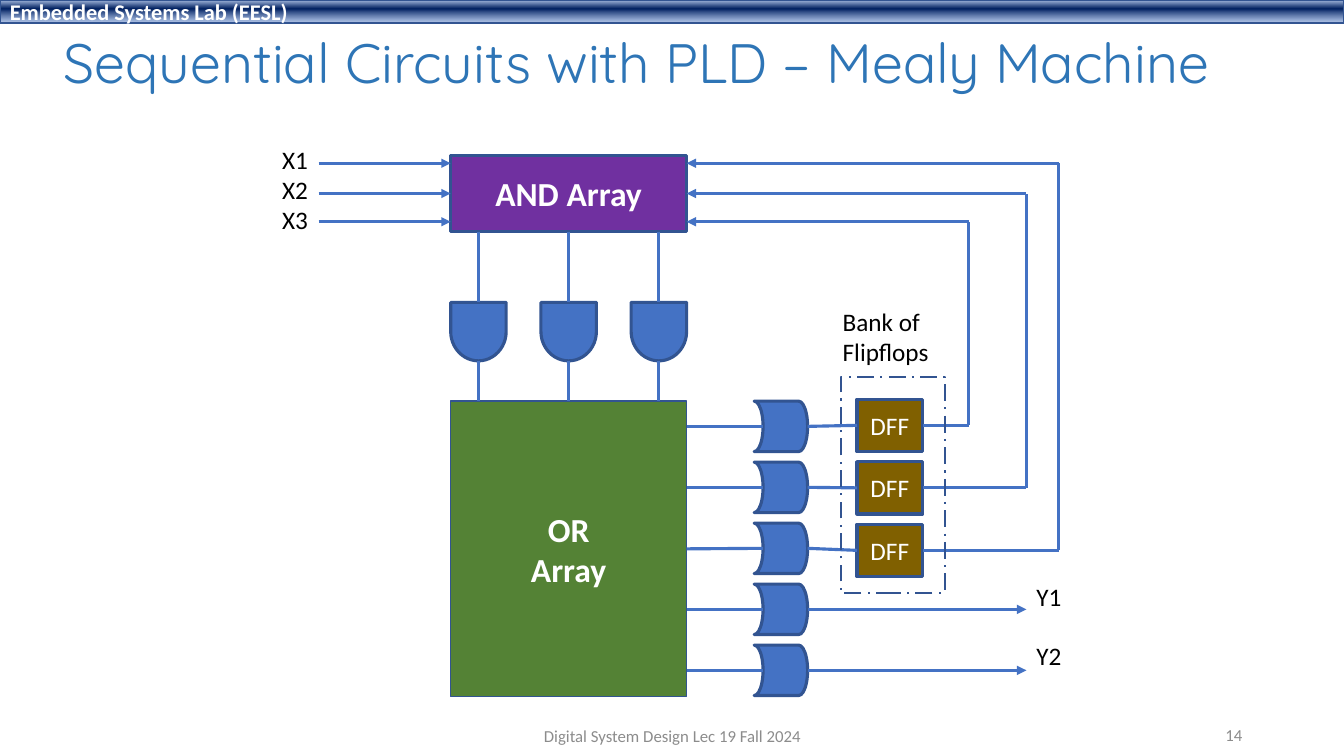
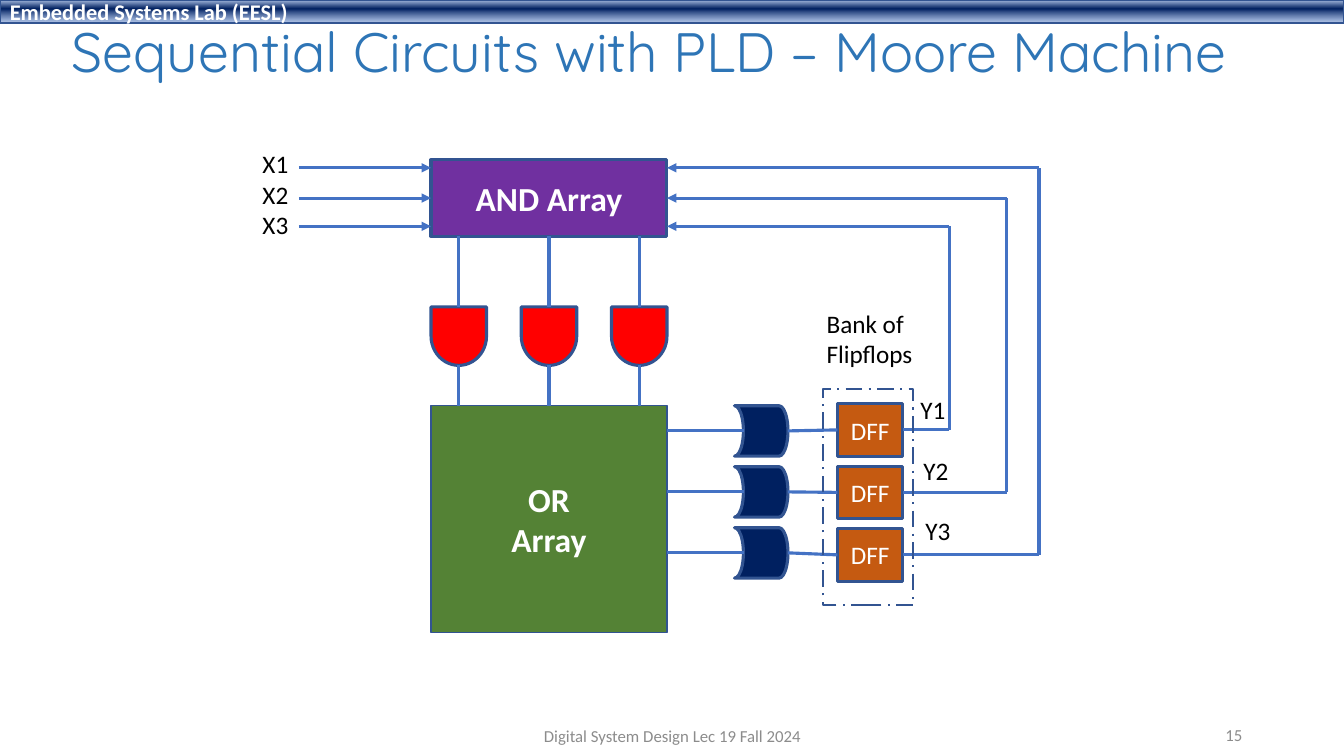
from lxml.etree import SubElement
from pptx import Presentation
from pptx.dml.color import RGBColor
from pptx.enum.dml import MSO_LINE
from pptx.enum.shapes import MSO_CONNECTOR, MSO_SHAPE
from pptx.enum.text import MSO_ANCHOR, MSO_AUTO_SIZE, PP_ALIGN
from pptx.oxml.ns import qn
from pptx.util import Inches, Pt

CELL = Inches(0.1)
SNAP = 0.3
COLORS = {
    "title": "2E75B6", "footer": "8C8C8C", "text": "000000", "white": "FFFFFF",
    "edge": "325491", "wire": "4472C4", "and": "7030A0", "or": "548235",
    "blue": "4472C4", "red": "FF0000", "navy": "002060",
    "olive": "806000", "orange": "C55A11",
}
BAND_STOPS = [(2, "ABC0E4", 100), (38, "002060", 100), (93, "7E9ED6", 64)]


def rgb(name):
    return RGBColor.from_string(COLORS[name])


class Deck:
    def __init__(self):
        self.prs = Presentation()
        self.prs.slide_width = Inches(13.33)
        self.prs.slide_height = Inches(7.5)
        self.layout = self.prs.slide_layouts[5]
        self.has_band = False

    def start(self, title, title_box, number, shift):
        self.s = self.prs.slides.add_slide(self.layout)
        self.shift = (0, 0)
        self.joints = []
        if not self.has_band:
            self.band("Embedded Systems Lab (EESL)")
        sp = self.s.shapes.title
        sp.left, sp.top, sp.width, sp.height = self.place(title_box)
        self.set_text(sp, title, 39.6, "title", font="Quicksand", wrap=True)
        sp.text_frame.paragraphs[0].line_spacing = 0.9
        self.label("Digital System Design Lec 19 Fall 2024", (44.2, 71, 45, 4),
                   12, "footer", PP_ALIGN.CENTER, MSO_ANCHOR.MIDDLE)
        self.label(str(number), (94.2, 70.9, 30, 4),
                   12, "footer", PP_ALIGN.RIGHT, MSO_ANCHOR.MIDDLE)
        self.shift = shift

    def point(self, col, row):
        return (round((col + self.shift[0]) * CELL),
                round((row + self.shift[1]) * CELL))

    def place(self, box):
        col, row, cols, rows = box
        return (*self.point(col, row), round(cols * CELL), round(rows * CELL))

    def set_text(self, sp, text, size, color, align=PP_ALIGN.LEFT,
                 anchor=MSO_ANCHOR.MIDDLE, bold=False, font="Calibri", wrap=False):
        tf = sp.text_frame
        tf.text = text
        tf.word_wrap = wrap
        tf.auto_size = MSO_AUTO_SIZE.NONE
        tf.vertical_anchor = anchor
        for p in tf.paragraphs:
            p.alignment = align
            for r in p.runs:
                r.font.name = font
                r.font.size = Pt(size)
                r.font.bold = bold
                r.font.color.rgb = rgb(color)

    def label(self, text, box, size=18, color="text", align=PP_ALIGN.LEFT,
              anchor=MSO_ANCHOR.TOP):
        sp = self.s.shapes.add_textbox(*self.place(box))
        self.set_text(sp, text, size, color, align, anchor, wrap=size < 18)

    def shape(self, kind, box, fill=None, width=2.25, rotation=0):
        sp = self.s.shapes.add_shape(kind, *self.place(box))
        sp.shadow.inherit = False
        sp.rotation = rotation
        if fill:
            sp.fill.solid()
            sp.fill.fore_color.rgb = rgb(fill)
        else:
            sp.fill.background()
        sp.line.color.rgb = rgb("edge")
        sp.line.width = Pt(width)
        return sp

    def band(self, text):
        sp = self.shape(MSO_SHAPE.RECTANGLE, (0, 0, 133.3, 2.3), width=1)
        self.set_text(sp, text, 16, "white", bold=True)
        sp.fill.gradient()
        sp.fill.gradient_angle = 270
        stops = sp.element.spPr.find(qn("a:gradFill")).find(qn("a:gsLst"))
        for gs in list(stops):
            stops.remove(gs)
        for pos, color, alpha in BAND_STOPS:
            gs = SubElement(stops, qn("a:gs"), pos=str(pos * 1000))
            clr = SubElement(gs, qn("a:srgbClr"), val=color)
            SubElement(clr, qn("a:alpha"), val=str(alpha * 1000))
        self.layout.shapes.element.append(sp.element)
        self.has_band = True

    def block(self, text, box, fill, size=24, width=2.25):
        sp = self.shape(MSO_SHAPE.RECTANGLE, box, fill, width)
        self.set_text(sp, text, size, "white", PP_ALIGN.CENTER, bold=size > 18)
        x, y, w, h = box
        sides = [(x + w / 2, y), (x, y + h / 2), (x + w / 2, y + h), (x + w, y + h / 2)]
        self.joints += [(sp, side, at) for side, at in enumerate(sides)]

    def join(self, connect, end):
        for sp, side, at in self.joints:
            if max(abs(at[0] - end[0]), abs(at[1] - end[1])) <= SNAP:
                connect(sp, side)
                return

    def wire(self, *points, arrow=False):
        for start, end in zip(points, points[1:]):
            c = self.s.shapes.add_connector(
                MSO_CONNECTOR.STRAIGHT, *self.point(*start), *self.point(*end))
            self.join(c.begin_connect, start)
            self.join(c.end_connect, end)
            c.line.color.rgb = rgb("wire")
            c.line.width = Pt(2.25)
            SubElement(c.element.spPr, qn("a:effectLst"))
        if arrow:
            SubElement(c.element.spPr.find(qn("a:ln")), qn("a:tailEnd"), type="triangle")

    def circuit(self, or_rows, gates, and_fill, or_fill, dff_fill):
        left, right, middle = 44.7, 68.1, 56.4
        pins = (16.2, 19.2, 22)
        self.block("AND Array", (left, 15.4, right - left, 7.6), "and")
        self.block("OR\nArray", (left, 39.8, right - left, or_rows), "or", width=1)
        self.label("X1\nX2\nX3", (27, 13.8, 4.6, 10.1))
        for pin in pins:
            self.wire((31.6, pin), (left, pin), arrow=True)
        for i in (-1, 0, 1):
            x = middle + i * 8.95
            self.shape(MSO_SHAPE.FLOWCHART_DELAY, (x - 2.9, 30.15, 5.8, 5.5),
                       and_fill, rotation=90)
            self.wire((x, 23), (x, 30))
            self.wire((x, 35.8), (x, 39.8))
        gate_rows = [42.3 + 6.05 * i for i in range(gates)]
        for y in gate_rows:
            self.shape(MSO_SHAPE.FLOWCHART_STORED_DATA, (74.8, y - 2.5, 5.3, 5),
                       or_fill, rotation=180)
            self.wire((right, y), (75.7, y))
        for i, (turn, pin) in enumerate(zip((96.1, 101.8, 105), reversed(pins))):
            y = 42.2 + 6.2 * i
            self.block("DFF", (85, y - 2.6, 6.5, 5.2), dff_fill, 18)
            self.wire((80.1, gate_rows[i]), (85, y))
            self.wire((91.5, y), (turn, y), (turn, pin), (right, pin), arrow=True)
        for y in gate_rows[3:]:
            self.wire((80.1, y), (101.8, y), arrow=True)

    def bank(self, box, label_box):
        sp = self.shape(MSO_SHAPE.RECTANGLE, box, width=1.5)
        sp.line.dash_style = MSO_LINE.LONG_DASH_DOT
        self.label("Bank of\nFlipflops", label_box)

    def outputs(self, spots):
        for i, (col, row) in enumerate(spots, 1):
            self.label(f"Y{i}", (col, row, 4.5, 4))


def main():
    deck = Deck()

    deck.start("Sequential Circuits with PLD – Mealy Machine",
               (5.3, 2.8, 124.2, 7.5), 14, (0, 0))
    deck.circuit(29.3, 5, "blue", "blue", "olive")
    deck.bank((83.4, 37.4, 10.3, 21.4), (82.6, 29.9, 10.6, 7.1))
    deck.outputs([(101.8, 57.2), (101.8, 63)])

    deck.start("Sequential Circuits with PLD – Moore Machine",
               (6.1, 1.7, 127.2, 7.4), 15, (-1.95, 0.45))
    deck.circuit(22.5, 3, "red", "navy", "orange")
    deck.bank((83.55, 38.15, 9, 21.4), (82.95, 29.65, 11.5, 7.1))
    deck.outputs([(92.25, 38.15), (92.55, 44.25), (92.75, 50.15)])

    deck.prs.save("out.pptx")


if __name__ == "__main__":
    main()
